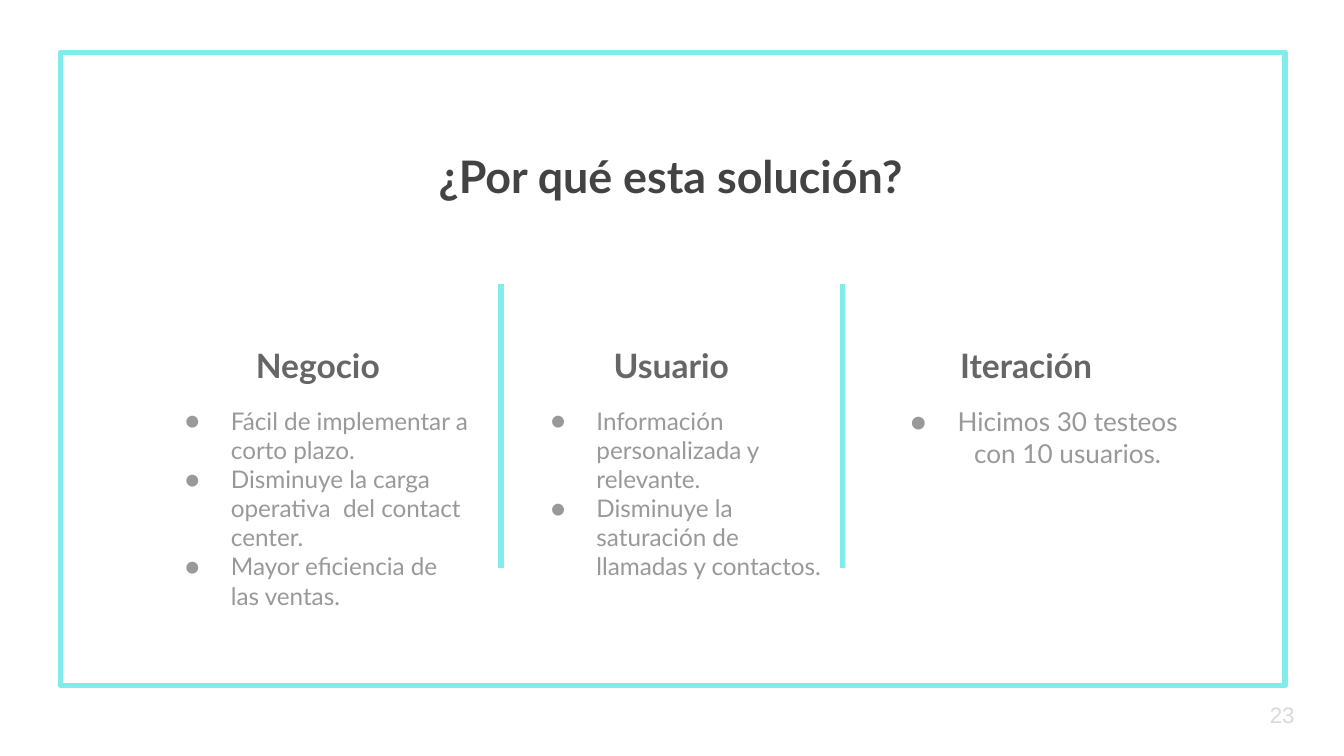
from lxml import etree
from pptx import Presentation
from pptx.dml.color import RGBColor
from pptx.enum.shapes import MSO_CONNECTOR, MSO_SHAPE
from pptx.enum.text import MSO_ANCHOR, PP_ALIGN
from pptx.oxml.ns import qn
from pptx.util import Inches, Pt

LEFT, CENTER = PP_ALIGN.LEFT, PP_ALIGN.CENTER
TOP, MIDDLE, BOTTOM = MSO_ANCHOR.TOP, MSO_ANCHOR.MIDDLE, MSO_ANCHOR.BOTTOM
RECTANGLE, STRAIGHT = MSO_SHAPE.RECTANGLE, MSO_CONNECTOR.STRAIGHT

SLIDE_WIDTH = 10
SLIDE_HEIGHT = SLIDE_WIDTH * 9 / 16
COLORS = {
    "background": "FFFFFF",
    "accent": "81ECEC",
    "title": "434343",
    "heading": "666666",
    "body": "999999",
    "number": "D9D9D9",
}
LINE_WIDTH = 3
COLUMN_LEFTS = (1.21, 3.84, 6.48)
HEADING_TOP, HEADING_WIDTH, HEADING_HEIGHT = 2.26, 2.31, 0.71
BODY_TOP, BODY_HEIGHT = 2.92, 1.7
DIVIDER_TOP, DIVIDER_BOTTOM = 2.11, 4.23
DIVIDERS = (3.73, 6.27)

COLUMNS = [
    {
        "heading": "Negocio",
        "items": [
            "Fácil de implementar a corto plazo.",
            "Disminuye la carga operativa  del contact center.",
            "Mayor eficiencia de las ventas.",
        ],
        "shift": -0.09,
        "width": 2.48,
        "format": {"size": 13, "hanging": 0.34},
    },
    {
        "heading": "Usuario",
        "items": [
            "Información personalizada y relevante.",
            "Disminuye la saturación de llamadas y contactos.",
        ],
        "shift": 0,
        "width": 2.43,
        "format": {"size": 13, "hanging": 0.34},
    },
    {
        "heading": "Iteración",
        "items": ["Hicimos 30 testeos con 10 usuarios."],
        "shift": 0,
        "width": 2.43,
        "format": {"size": 14, "hanging": 0.35, "align": CENTER},
    },
]


def color(name):
    """Return the named palette colour."""
    return RGBColor.from_string(COLORS[name])


def style_line(line):
    """Give a line the accent colour and the common width."""
    line.color.rgb = color("accent")
    line.width = Pt(LINE_WIDTH)


def add_bullet(paragraph, hanging, font):
    """Give a paragraph a round bullet with a hanging indent."""
    properties = paragraph._p.get_or_add_pPr()
    properties.set("marL", str(Inches(0.5)))
    properties.set("indent", str(-Inches(hanging)))
    bullet_color = etree.SubElement(properties, qn("a:buClr"))
    etree.SubElement(bullet_color, qn("a:srgbClr"), val=COLORS["body"])
    etree.SubElement(properties, qn("a:buFont"), typeface=font)
    etree.SubElement(properties, qn("a:buChar"), char="●")


def add_text(slide, box, lines, *, size, ink, font="Lato", bold=False,
             align=LEFT, anchor=TOP, hanging=None):
    """Add a text box with one paragraph per line, bulleted if hanging is set."""
    shape = slide.shapes.add_textbox(*map(Inches, box))
    frame = shape.text_frame
    frame.word_wrap = True
    frame.vertical_anchor = anchor
    frame.margin_left = frame.margin_right = Inches(0.1)
    frame.margin_top = frame.margin_bottom = Inches(0.1)
    for index, line in enumerate(lines):
        paragraph = frame.add_paragraph() if index else frame.paragraphs[0]
        paragraph.alignment = align
        if hanging:
            add_bullet(paragraph, hanging, font)
        run = paragraph.add_run()
        run.text = line
        run.font.name = font
        run.font.size = Pt(size)
        run.font.bold = bold
        run.font.color.rgb = color(ink)


def add_frame(slide):
    """Add the outlined border of the slide."""
    shape = slide.shapes.add_shape(
        RECTANGLE, *map(Inches, (0.45, 0.39, 9.11, 4.71)))
    shape.shadow.inherit = False
    shape.fill.background()
    style_line(shape.line)
    etree.SubElement(shape.line._get_or_add_ln(), qn("a:round"))


def add_divider(slide, x):
    """Add a vertical line between two columns."""
    connector = slide.shapes.add_connector(
        STRAIGHT, *map(Inches, (x, DIVIDER_TOP, x, DIVIDER_BOTTOM)))
    style_line(connector.line)
    etree.SubElement(connector._element.spPr, qn("a:effectLst"))


def add_column(slide, left, column):
    """Add the heading and bullet list of one column."""
    add_text(slide, (left, HEADING_TOP, HEADING_WIDTH, HEADING_HEIGHT),
             [column["heading"]], size=18, ink="heading", bold=True,
             align=CENTER, anchor=BOTTOM)
    add_text(slide,
             (left + column["shift"], BODY_TOP, column["width"], BODY_HEIGHT),
             column["items"], ink="body", **column["format"])


def main():
    """Build the slide and save it."""
    presentation = Presentation()
    presentation.slide_width = Inches(SLIDE_WIDTH)
    presentation.slide_height = Inches(SLIDE_HEIGHT)
    slide = presentation.slides.add_slide(presentation.slide_layouts[6])
    slide.background.fill.solid()
    slide.background.fill.fore_color.rgb = color("background")
    add_frame(slide)
    add_text(slide, (-0.01, 1.01, SLIDE_WIDTH, 0.53),
             ["¿Por qué esta solución?"],
             size=24, ink="title", bold=True, align=CENTER)
    for x in DIVIDERS:
        add_divider(slide, x)
    add_text(slide, (9.35, 5.1, 0.6, 0.43), ["23"], size=12, ink="number",
             font="Arial", anchor=MIDDLE)
    for left, column in zip(COLUMN_LEFTS, COLUMNS):
        add_column(slide, left, column)
    presentation.save("out.pptx")


if __name__ == "__main__":
    main()
